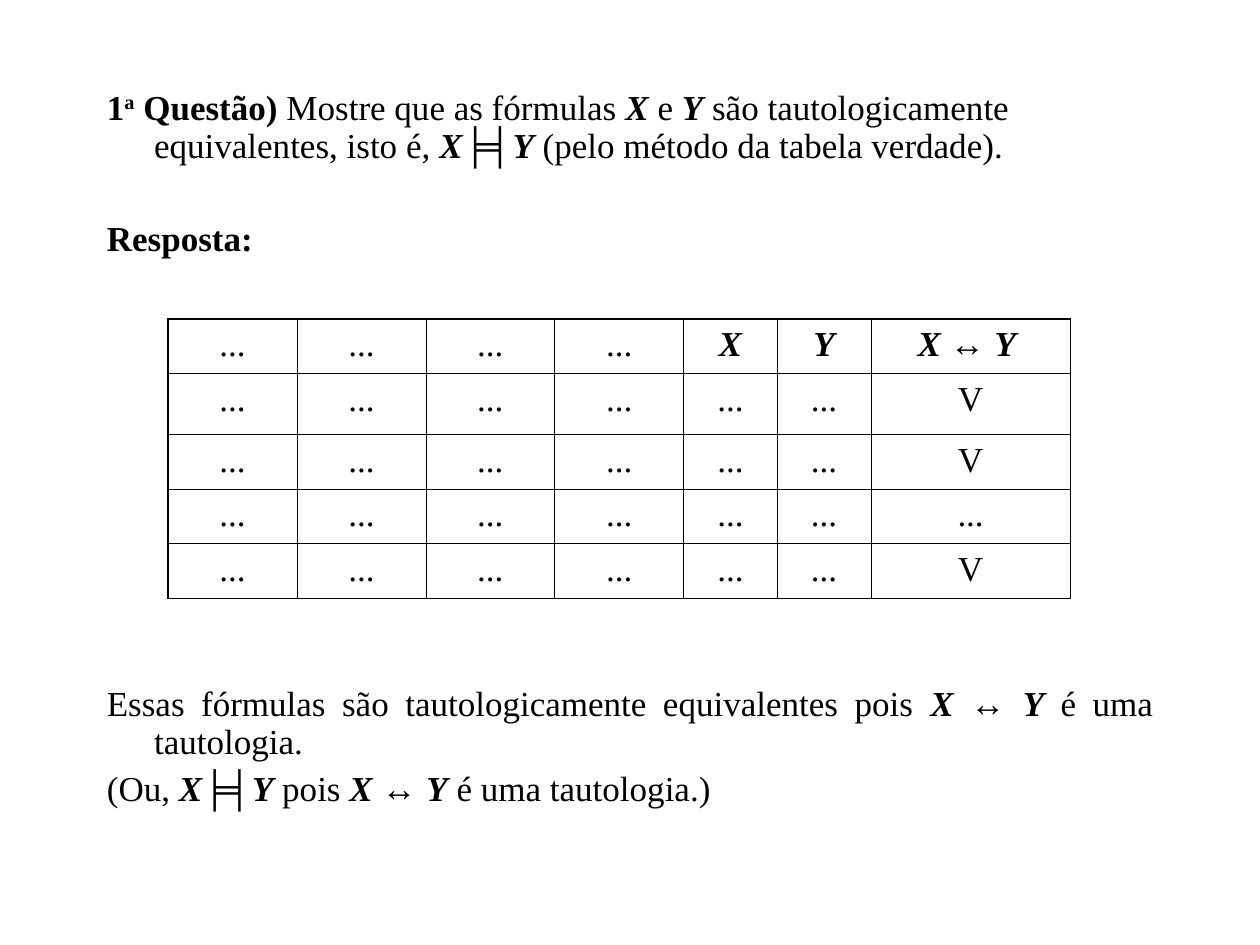
from dataclasses import dataclass, replace

from lxml.etree import SubElement
from pptx import Presentation
from pptx.dml.color import RGBColor
from pptx.enum.text import MSO_ANCHOR, PP_ALIGN
from pptx.oxml.ns import qn
from pptx.util import Pt

INK = "000000"
SERIF, SANS = "Times New Roman", "Arial"
SIZE, GAP = 20, 5
BLANK = 26.6  # height of one empty line with its gap
THIN, THICK = 0.45, 1.08


@dataclass(frozen=True)
class Run:
    text: str
    bold: bool = False
    ital: bool = False
    font: str = ""
    lift: int = 0


@dataclass(frozen=True)
class Para:
    runs: tuple[Run, ...]
    align: PP_ALIGN = PP_ALIGN.LEFT
    skip: int = 0  # empty lines above


X = Run("X", True, True)
Y = replace(X, text="Y")
ENTAILS = Run("╞╡")
IFF = (replace(X, text="X "), Run("↔ ", font=SANS), Y)
DOTS, TRUE = (Run("..."),), (Run("V"),)

PARAS = (
    Para((
        Run("1", True), Run("a", True, lift=30), Run(" Questão)", True),
        Run(" Mostre que as fórmulas "), X, Run(" e "), Y,
        Run(" são tautologicamente equivalentes, isto é, "),
        X, ENTAILS, Y, Run(" (pelo método da tabela verdade)."),
    )),
    Para((Run("Resposta:", True),), skip=1),
    Para((
        Run("Essas fórmulas são tautologicamente equivalentes pois "),
        *IFF, Run(" é uma tautologia."),
    ), PP_ALIGN.JUSTIFY, 9),
    Para((
        Run("(Ou, "), X, ENTAILS, Y, Run(" pois "),
        *IFF, Run(" é uma tautologia.)"),
    ), PP_ALIGN.JUSTIFY),
)

WIDTHS = (73.7,) * 4 + (53.4, 53.6, 114)
HEIGHTS = (31.2, 34.8, 31.2, 31.2, 31.4)
ROWS = [[DOTS] * 4 + [(X,), (Y,), (*IFF[:2], replace(Y, text="Y "))]]
ROWS += [[DOTS] * 6 + [last] for last in (TRUE, TRUE, DOTS, TRUE)]


def color(code: str) -> RGBColor:
    return RGBColor.from_string(code)


def write(para, spec: Para) -> None:
    para.alignment = spec.align
    para.space_before = Pt(GAP + spec.skip * BLANK)
    para.font.size = Pt(SIZE)
    para.font.color.rgb = color(INK)
    mixed = any(run.font for run in spec.runs)
    if not mixed:
        para.font.name = SERIF
    for item in spec.runs:
        run = para.add_run()
        run.text = item.text
        run.font.bold, run.font.italic = item.bold, item.ital
        if mixed:
            run.font.name = item.font or SERIF
        if item.lift:
            run.font._element.set("baseline", str(item.lift * 1000))


def add_body(slide) -> None:
    box = slide.shapes.add_textbox(Pt(54), Pt(48), Pt(612), Pt(432))
    frame = box.text_frame
    frame.word_wrap = True
    for num, spec in enumerate(PARAS):
        para = frame.add_paragraph() if num else frame.paragraphs[0]
        write(para, spec)
        para.line_spacing = 0.9
        props = para._p.get_or_add_pPr()
        props.set("marL", str(Pt(27)))
        props.set("indent", str(-Pt(27)))


def add_edges(cell, edges: dict[str, bool]) -> None:
    """Draw the cell's borders, thick where the edge is an outer one."""
    props = cell._tc.get_or_add_tcPr()
    for side, outer in edges.items():
        line = SubElement(props, qn(f"a:ln{side}"),
                          w=str(Pt(THICK if outer else THIN)))
        fill = SubElement(line, qn("a:solidFill"))
        SubElement(fill, qn("a:srgbClr"), val=INK)


def add_truth(slide) -> None:
    """Add the truth table."""
    table = slide.shapes.add_table(
        len(HEIGHTS), len(WIDTHS), Pt(96), Pt(182.2),
        Pt(sum(WIDTHS)), Pt(sum(HEIGHTS))).table
    table.first_row = table.horz_banding = False
    for col, width in zip(table.columns, WIDTHS):
        col.width = Pt(width)
    for row, height in zip(table.rows, HEIGHTS):
        row.height = Pt(height)
    for r, row in enumerate(ROWS):
        for c, runs in enumerate(row):
            cell = table.cell(r, c)
            add_edges(cell, {"L": c == 0, "R": c == len(row) - 1,
                             "T": r == 0, "B": r == len(ROWS) - 1})
            cell.fill.background()
            cell.vertical_anchor = MSO_ANCHOR.TOP
            write(cell.text_frame.paragraphs[0], Para(runs, PP_ALIGN.CENTER))


def main() -> None:
    deck = Presentation()
    deck.slide_width, deck.slide_height = Pt(720), Pt(540)
    slide = deck.slides.add_slide(deck.slide_layouts[6])
    add_body(slide)
    add_truth(slide)
    deck.save("out.pptx")


if __name__ == "__main__":
    main()
